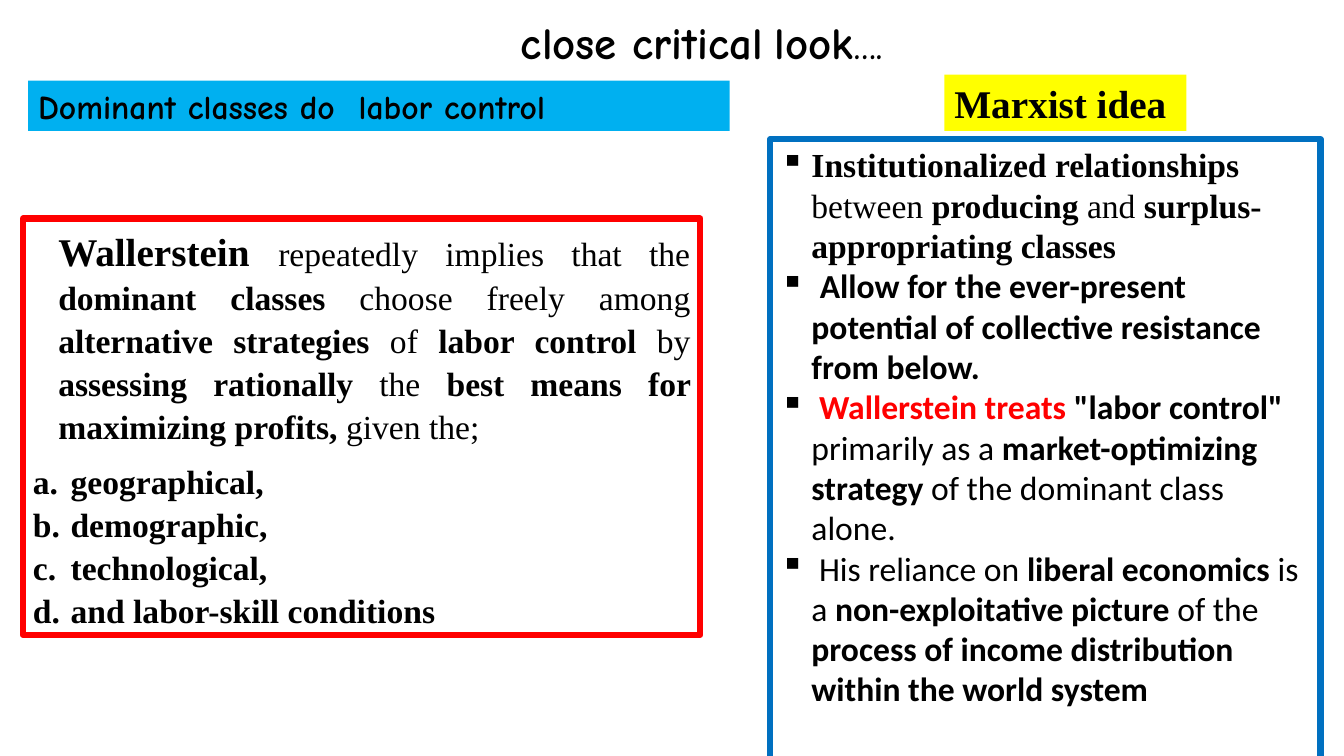
import pptx
import pptx.dml.color
import pptx.enum.shapes
import pptx.enum.text
import pptx.oxml
import pptx.oxml.ns
import pptx.util
from pptx.util import Cm

COLORS = {"black": "000000", "red": "FF0000", "blue": "0070C0",
          "sky": "00B0F0", "yellow": "FFFF00"}
SERIF, SANS, COMIC = "Times New Roman", "Calibri", "Comic Neue"
ALIGN = pptx.enum.text.PP_ALIGN
LETTERED = '<a:buAutoNum %s type="alphaLcPeriod"/>'
SQUARE = '<a:buChar %s char="▪"/>'


def rgb(name):
    return pptx.dml.color.RGBColor.from_string(COLORS[name])


def mixed(marked, font=SERIF, size=24, color="black"):
    """Split text at each * into runs that alternate between regular and bold."""
    return [(part, font, size, i % 2 == 1, color)
            for i, part in enumerate(marked.split("*")) if part]


class SlideBuilder:
    def __init__(self, slide):
        self.slide = slide

    def box(self, left, top, width, height, fill=None, border=None):
        """Add a rectangle, sized in centimetres, and return its text frame."""
        shape = self.slide.shapes.add_shape(
            pptx.enum.shapes.MSO_SHAPE.RECTANGLE,
            Cm(left), Cm(top), Cm(width), Cm(height))
        shape.shadow.inherit = False
        if fill:
            shape.fill.solid()
            shape.fill.fore_color.rgb = rgb(fill)
        else:
            shape.fill.background()
        if border:
            shape.line.color.rgb = rgb(border)
            shape.line.width = pptx.util.Pt(4.5)
        else:
            shape.line.fill.background()
        return self.prepare(shape.text_frame)

    def label(self, left, top, width, height):
        """Add a plain text box and return its text frame."""
        return self.prepare(self.slide.shapes.add_textbox(
            Cm(left), Cm(top), Cm(width), Cm(height)).text_frame)

    def prepare(self, frame):
        frame.word_wrap = True
        frame.vertical_anchor = pptx.enum.text.MSO_ANCHOR.TOP
        return frame

    def paragraph(self, frame, runs, align=ALIGN.LEFT, spacing=None, after=0,
                  margin=0, hanging=0, bullet=None):
        """Fill the frame's empty first paragraph, or append another one."""
        first = frame.paragraphs[0]
        para = frame.add_paragraph() if first.runs else first
        para.alignment = align
        para.line_spacing = spacing
        para.space_after = pptx.util.Pt(after)
        props = para._p.get_or_add_pPr()
        props.set("marL", str(Cm(margin)))
        props.set("indent", str(Cm(-hanging)))
        if bullet:
            ns = pptx.oxml.ns.nsdecls("a")
            props.append(pptx.oxml.parse_xml(
                f'<a:buClr {ns}><a:srgbClr val="{COLORS["black"]}"/></a:buClr>'))
            props.append(pptx.oxml.parse_xml(bullet % ns))
        for text, font, size, bold, color in runs:
            run = para.add_run()
            run.text = text
            run.font.name = font
            run.font.size = pptx.util.Pt(size)
            run.font.bold = bold
            run.font.color.rgb = rgb(color)


def main():
    deck = pptx.Presentation()
    deck.slide_width, deck.slide_height = Cm(33.87), Cm(19.05)
    builder = SlideBuilder(deck.slides.add_slide(deck.slide_layouts[6]))

    wallerstein = builder.box(0.58, 5.51, 17.07, 10.49, border="red")
    builder.paragraph(
        wallerstein,
        mixed("*Wallerstein *", size=28)
        + mixed("repeatedly implies that the *dominant classes* choose freely among "
                "*alternative strategies* of *labor control* by *assessing rationally* "
                "the *best means for maximizing profits,* given the; "),
        ALIGN.JUSTIFY, spacing=1.07, after=8, margin=0.64)
    conditions = ["geographical,", "demographic, ", "technological, ",
                  "and labor-skill conditions "]
    for condition in conditions:
        builder.paragraph(wallerstein, mixed(f"*{condition}*"), ALIGN.JUSTIFY,
                          spacing=1.07, after=8 if condition == conditions[-1] else 0,
                          margin=0.95, hanging=0.95, bullet=LETTERED)

    title = builder.label(12.88, 0.25, 12.95, 1.6)
    builder.paragraph(title, [(text, COMIC, size, True, "black") for text, size in
                              [("close critical", 32), (" ", 24), ("look", 32), ("….", 24)]])

    marxist_heading = builder.box(23.8, 1.88, 6.1, 1.42, fill="yellow")
    builder.paragraph(marxist_heading, mixed("*Marxist idea*", size=28))

    marxist_ideas = builder.box(19.41, 3.51, 13.87, 18.54, border="blue")
    for idea in [
        mixed("*Institutionalized relationships *between *producing* and "
              "*surplus-appropriating classes*"),
        mixed("* *") + mixed("*Allow for the ever-present potential of collective "
                             "resistance from below.*", SANS),
        mixed("* *", SANS) + mixed("*Wallerstein treats *", SANS, color="red")
        + mixed('*"labor control"* primarily as a *market-optimizing strategy* '
                "of the dominant class alone.", SANS),
        mixed("* *His reliance on *liberal economics* is a *non-exploitative picture *"
              "of the *process of income distribution within the world system*", SANS),
    ]:
        builder.paragraph(marxist_ideas, idea, margin=0.79, hanging=0.79, bullet=SQUARE)

    classes_heading = builder.box(0.71, 2.03, 17.68, 1.27, fill="sky")
    builder.paragraph(classes_heading, mixed("*Dominant classes do  labor control*", COMIC))

    deck.save("out.pptx")


if __name__ == "__main__":
    main()
